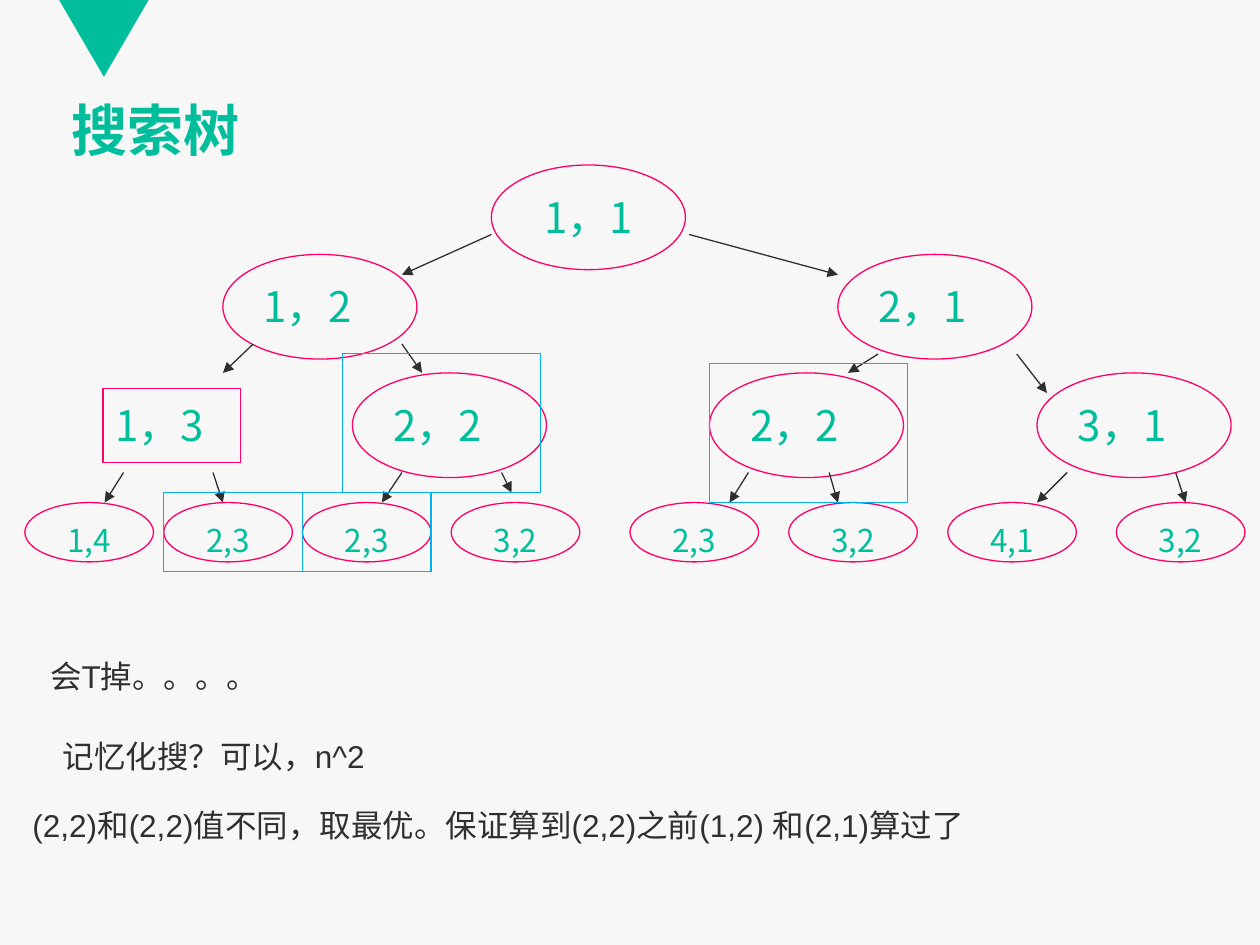
from dataclasses import dataclass

from lxml import etree
from pptx import Presentation
from pptx.dml.color import RGBColor
from pptx.enum import shapes, text
from pptx.oxml import ns
from pptx.util import Pt

KIND = shapes.MSO_SHAPE
ALIGN = text.PP_ALIGN


@dataclass(frozen=True)
class Theme:
    back: str = "F7F7F7"
    accent: str = "00BE9C"
    node: str = "FF0066"
    frame: str = "00B0F0"
    ink: str = "2F2F2F"
    cjk: str = "Noto Sans CJK SC"
    latin: str = "Arial"
    title: int = 32
    large: int = 24
    body: int = 18
    line: float = 0.75


def set_all(obj, values):
    for name, value in values.items():
        setattr(obj, name, value)


def add_xml(parent, tag, **attrs):
    return etree.SubElement(parent, ns.qn(tag), attrs)


class SlideBuilder:
    def __init__(self, s, theme):
        self.s, self.theme = s, theme
        fill = s.background.fill
        fill.solid()
        fill.fore_color.rgb = RGBColor.from_string(theme.back)

    def add_text(self, sp, words, font, color, para=None):
        """Put one run of text in a shape, with its font and paragraph format."""
        p = sp.text_frame.paragraphs[0]
        set_all(p, para or {})
        r = p.add_run()
        r.text = words
        set_all(r.font, font)
        r.font.color.rgb = RGBColor.from_string(color)
        add_xml(r.font._element, "a:ea", typeface=self.theme.cjk)

    def title(self, words, box):
        t, sp = self.theme, self.s.shapes.title
        set_all(sp, dict(zip(("left", "top", "width", "height"), map(Pt, box))))
        set_all(sp.text_frame, {"vertical_anchor": text.MSO_ANCHOR.BOTTOM,
                                "auto_size": text.MSO_AUTO_SIZE.NONE})
        self.add_text(sp, words, {"size": Pt(t.title), "name": t.cjk, "bold": True},
                      t.accent, {"alignment": ALIGN.LEFT, "line_spacing": 0.9})

    def marker(self, box):
        """Add the filled triangle that points down."""
        sp = self.s.shapes.add_shape(KIND.ISOSCELES_TRIANGLE, *map(Pt, box))
        sp.shadow.inherit = False
        sp.rotation = 180
        sp.fill.solid()
        sp.fill.fore_color.rgb = RGBColor.from_string(self.theme.accent)
        sp.line.fill.background()

    def outline(self, kind, box, color):
        sp = self.s.shapes.add_shape(kind, *map(Pt, box))
        sp.shadow.inherit = False
        sp.fill.background()
        sp.line.color.rgb = RGBColor.from_string(color)
        sp.line.width = Pt(self.theme.line)
        return sp

    def node(self, words, box, size, align, kind=KIND.FLOWCHART_CONNECTOR):
        t = self.theme
        sp = self.outline(kind, box, t.node)
        sp.text_frame.vertical_anchor = text.MSO_ANCHOR.TOP
        self.add_text(sp, words, {"size": Pt(size), "name": t.cjk}, t.accent,
                      {"alignment": align, "line_spacing": 1.1, "space_before": Pt(10.1)})

    def frame(self, box):
        self.outline(KIND.FLOWCHART_PROCESS, box, self.theme.frame)

    def arrow(self, ends):
        c = self.s.shapes.add_connector(shapes.MSO_CONNECTOR.STRAIGHT, *map(Pt, ends))
        c.line.color.rgb = RGBColor.from_string(self.theme.ink)
        c.line.width = Pt(self.theme.line)
        add_xml(c.line._get_or_add_ln(), "a:tailEnd", type="triangle")
        add_xml(c._element.spPr, "a:effectLst")

    def note(self, words, box):
        t = self.theme
        sp = self.s.shapes.add_textbox(*map(Pt, box))
        set_all(sp.text_frame, {"word_wrap": False,
                                "auto_size": text.MSO_AUTO_SIZE.SHAPE_TO_FIT_TEXT})
        self.add_text(sp, words, {"size": Pt(t.body), "name": t.latin}, t.ink)


BRANCHES = [  # label, left, top, alignment
    ("1，1", 280.8, 94.3, ALIGN.CENTER),
    ("1，2", 127.4, 145.4, ALIGN.JUSTIFY),
    ("2，1", 478.8, 145.4, ALIGN.JUSTIFY),
    ("2，2", 201.4, 213.1, ALIGN.JUSTIFY),
    ("2，2", 405.4, 213.1, ALIGN.JUSTIFY),
    ("3，1", 592.6, 213.1, ALIGN.JUSTIFY),
]
BRANCH_SIZE = (110.9, 59.8)
LEAVES = [("1,4", 14.2), ("2,3", 93.6), ("2,3", 172.8), ("3,2", 257.8),
          ("2,3", 360), ("3,2", 450.7), ("4,1", 541.6), ("3,2", 637.9)]
LEAF_TOP, LEAF_SIZE = 287.2, (73.5, 33.9)
ARROWS = [  # from x, from y, to x, to y
    (280.8, 134, 229.7, 157), (393.8, 134, 478.8, 157),
    (144.7, 196.6, 127.4, 213.1), (229.7, 196.6, 241.2, 213.1),
    (501.8, 202.3, 484.6, 213.1), (581, 202.3, 598.3, 224.6),
]
LEAF_ARROWS = [  # from x, to x, to y
    (70.6, 59.8, LEAF_TOP), (121.7, 127.4, LEAF_TOP), (229.7, 218.2, LEAF_TOP),
    (286.6, 292.3, 281.5), (427.7, 416.9, LEAF_TOP), (473.8, 478.8, LEAF_TOP),
    (609.8, 592.6, LEAF_TOP), (671.8, 677.5, LEAF_TOP),
]
LEAF_ARROW_TOP = 270
FRAMES = [(195.8, 202, 113.2, 79.4), (405.4, 207.6, 113.2, 79.4),
          (93.6, 281.4, 79.2, 45.3), (172.8, 281.4, 73.5, 45.3)]
NOTES = [
    ("会T掉。。。。", (21.6, 372.2, 141.8, 28.8)),
    ("记忆化搜？可以，n^2", (28.8, 417.6, 190.8, 28.8)),
    ("(2,2)和(2,2)值不同，取最优。保证算到(2,2)之前(1,2) 和(2,1)算过了",
     (11.5, 457.2, 585.4, 28.8)),
]


def main():
    prs = Presentation()
    prs.slide_width, prs.slide_height = Pt(720), Pt(540)
    theme = Theme()
    b = SlideBuilder(prs.slides.add_slide(prs.slide_layouts[5]), theme)
    b.marker((33.8, 0, 51.1, 43.9))
    b.title("搜索树", (33.8, 41.8, 658.8, 55.4))
    b.node("1，3", (58.9, 221.9, 78.4, 42.4), theme.large, ALIGN.JUSTIFY, KIND.RECTANGLE)
    for label, left, top, align in BRANCHES:
        b.node(label, (left, top, *BRANCH_SIZE), theme.large, align)
    for label, left in LEAVES:
        b.node(label, (left, LEAF_TOP, *LEAF_SIZE), theme.body, ALIGN.CENTER)
    for ends in ARROWS:
        b.arrow(ends)
    for x1, x2, y2 in LEAF_ARROWS:
        b.arrow((x1, LEAF_ARROW_TOP, x2, y2))
    for box in FRAMES:
        b.frame(box)
    for words, box in NOTES:
        b.note(words, box)
    prs.save("out.pptx")


if __name__ == "__main__":
    main()
